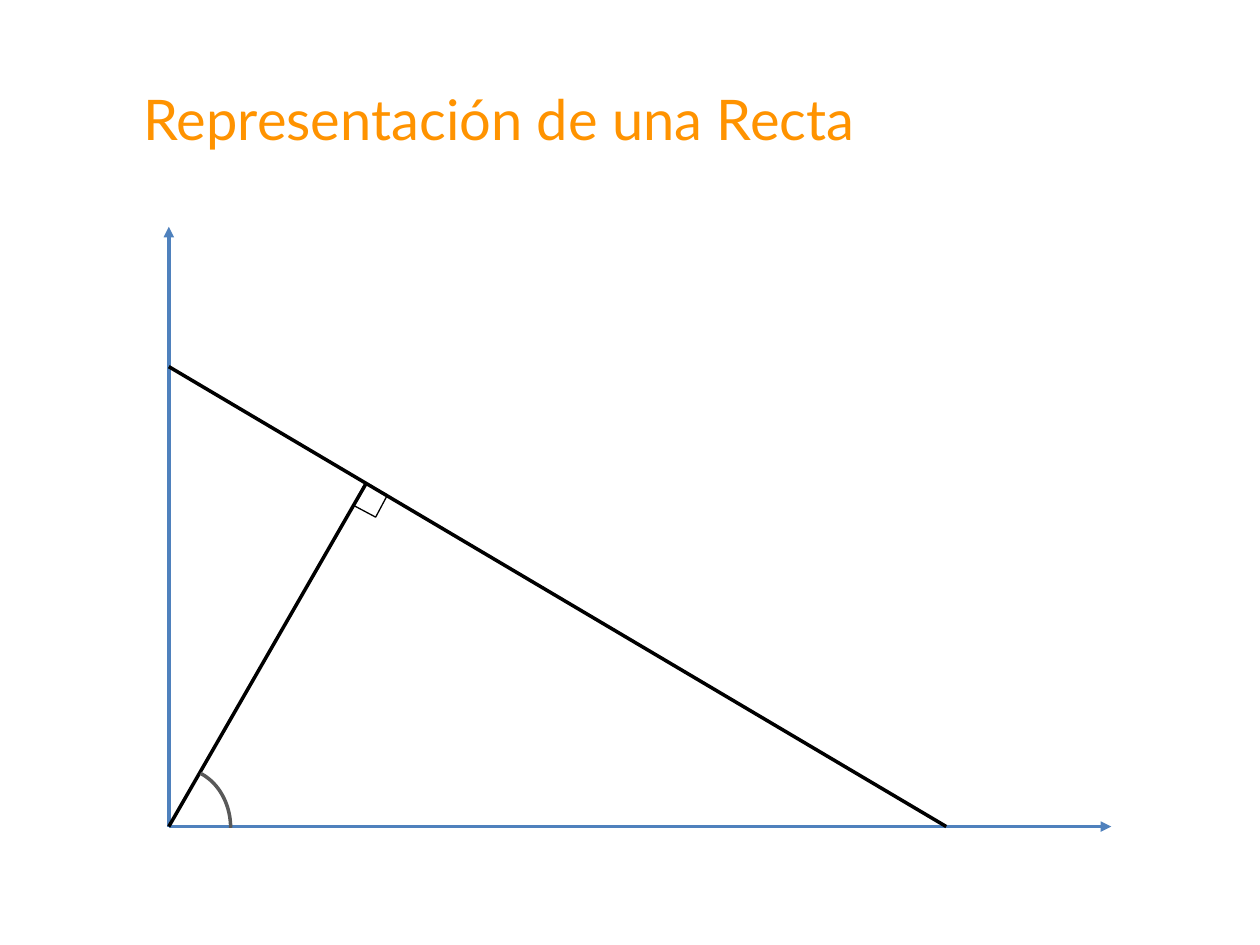
from dataclasses import dataclass

import pptx
import pptx.dml.color
import pptx.enum.shapes
import pptx.enum.text
import pptx.oxml
import pptx.oxml.ns
import pptx.util
from pptx.util import Inches

RGB = pptx.dml.color.RGBColor
Shape = pptx.enum.shapes.MSO_SHAPE


@dataclass(frozen=True)
class Theme:
    title: RGB = RGB(0xFF, 0x93, 0x00)
    axis: RGB = RGB(0x4F, 0x81, 0xBD)
    line: RGB = RGB(0, 0, 0)
    angle: RGB = RGB(0x59, 0x59, 0x59)
    font: str = "Lato"
    title_size: float = 32
    thick: float = 2
    thin: float = 0.75


@dataclass(frozen=True)
class Point:
    x: float
    y: float


@dataclass(frozen=True)
class Segment:
    start: Point
    end: Point
    color: RGB
    arrow: bool = False


@dataclass(frozen=True)
class Mark:
    """An unfilled outline that marks an angle."""
    kind: Shape
    left: float
    top: float
    width: float
    height: float
    color: RGB
    weight: float
    rotation: float = 0
    adjustments: tuple[float, ...] = ()


THEME = Theme()
ORIGIN = Point(1.34, 6.56)
SEGMENTS = (
    Segment(ORIGIN, Point(ORIGIN.x, 1.8), THEME.axis, arrow=True),
    Segment(ORIGIN, Point(8.82, ORIGIN.y), THEME.axis, arrow=True),
    Segment(Point(ORIGIN.x, 2.91), Point(7.51, ORIGIN.y), THEME.line),
    Segment(ORIGIN, Point(2.91, 3.83), THEME.line),
)
MARKS = (
    Mark(Shape.ARC, 1.04, 6.1, 0.79, 0.94, THEME.angle, THEME.thick,
         adjustments=(173.93, 0)),
    Mark(Shape.RECTANGLE, 2.84, 3.87, 0.2, 0.2, THEME.line, THEME.thin, rotation=28),
)


def format_title(slide: pptx.slide.Slide, text: str) -> None:
    box = slide.shapes.title
    box.left, box.top = Inches(1.04), Inches(0.62)
    box.width, box.height = Inches(6.04), Inches(0.64)
    frame = box.text_frame
    frame.word_wrap = False
    frame.auto_size = pptx.enum.text.MSO_AUTO_SIZE.SHAPE_TO_FIT_TEXT
    frame.vertical_anchor = pptx.enum.text.MSO_ANCHOR.TOP
    para = frame.paragraphs[0]
    para.alignment = pptx.enum.text.PP_ALIGN.LEFT
    span = para.add_run()
    span.text = text
    span.font.name = THEME.font
    span.font.size = pptx.util.Pt(THEME.title_size)
    span.font.color.rgb = THEME.title


def draw_segment(slide: pptx.slide.Slide, segment: Segment) -> None:
    connector = slide.shapes.add_connector(
        pptx.enum.shapes.MSO_CONNECTOR.STRAIGHT,
        Inches(segment.start.x), Inches(segment.start.y),
        Inches(segment.end.x), Inches(segment.end.y))
    connector.line.color.rgb = segment.color
    connector.line.width = pptx.util.Pt(THEME.thick)
    properties = connector._element.spPr
    if segment.arrow:
        outline = properties.find(pptx.oxml.ns.qn("a:ln"))
        outline.append(pptx.oxml.parse_xml(
            f'<a:tailEnd {pptx.oxml.ns.nsdecls("a")} type="triangle"/>'))
    properties.append(pptx.oxml.parse_xml(
        f'<a:effectLst {pptx.oxml.ns.nsdecls("a")}/>'))


def draw_mark(slide: pptx.slide.Slide, mark: Mark) -> None:
    shape = slide.shapes.add_shape(
        mark.kind, Inches(mark.left), Inches(mark.top),
        Inches(mark.width), Inches(mark.height))
    shape.shadow.inherit = False
    shape.fill.background()
    shape.line.color.rgb = mark.color
    shape.line.width = pptx.util.Pt(mark.weight)
    shape.rotation = mark.rotation
    for index, value in enumerate(mark.adjustments):
        shape.adjustments[index] = value


def main() -> None:
    deck = pptx.Presentation()
    deck.slide_width, deck.slide_height = Inches(10), Inches(7.5)
    title_only = deck.slide_layouts.get_by_name("Title Only")
    page = deck.slides.add_slide(title_only)
    format_title(page, "Representación de una Recta")
    for segment in SEGMENTS:
        draw_segment(page, segment)
    for mark in MARKS:
        draw_mark(page, mark)
    deck.save("out.pptx")


if __name__ == "__main__":
    main()
